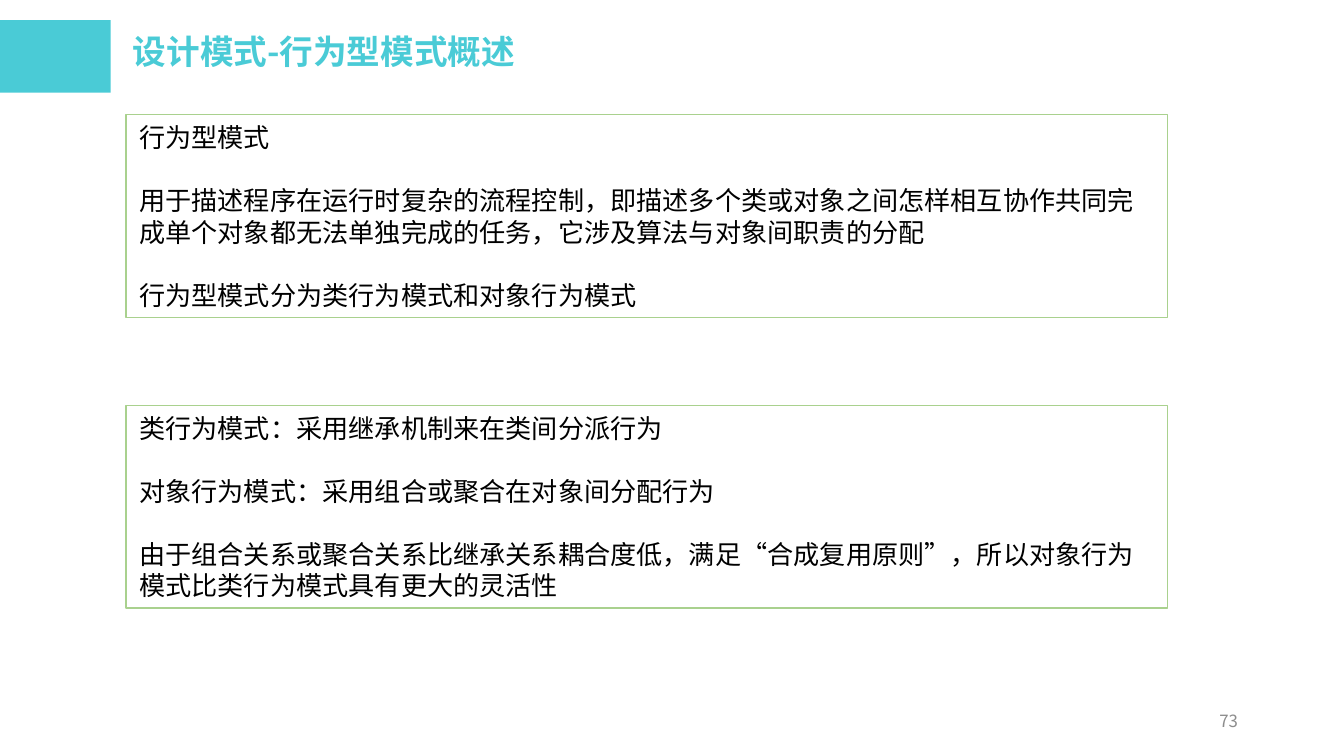
from typing import NamedTuple

from lxml import etree
from pptx import Presentation
from pptx.dml.color import RGBColor
from pptx.enum import lang, shapes, text
from pptx.oxml import ns
from pptx.util import Pt

FONT = "Noto Sans CJK SC"
COLORS = {"accent": "4ACBD6", "border": "A9D18E", "body": "000000", "number": "8C8C8C"}
BODY_LINE = 16.9


class Panel(NamedTuple):
    top: float
    paragraphs: tuple[str, ...]


PANELS = (
    Panel(61.4, (
        "行为型模式",
        "用于描述程序在运行时复杂的流程控制，即描述多个类或对象之间怎样相互协作共同完成单个对象都无法单独完成的任务，它涉及算法与对象间职责的分配",
        "行为型模式分为类行为模式和对象行为模式",
    )),
    Panel(217.2, (
        "类行为模式：采用继承机制来在类间分派行为",
        "对象行为模式：采用组合或聚合在对象间分配行为",
        "由于组合关系或聚合关系比继承关系耦合度低，满足“合成复用原则”，所以对象行为模式比类行为模式具有更大的灵活性",
    )),
)


def rgb(name: str) -> RGBColor:
    return RGBColor.from_string(COLORS[name])


def write(shape, *paragraphs: str, size: float, color: str, bold: bool = False,
          align=text.PP_ALIGN.LEFT, anchor=text.MSO_ANCHOR.TOP,
          line_spacing=None, gap: float = 0) -> None:
    """Fill a shape with paragraphs that are set apart by gap points."""
    frame = shape.text_frame
    frame.word_wrap = True
    frame.auto_size = text.MSO_AUTO_SIZE.NONE
    frame.vertical_anchor = anchor
    for index, line in enumerate(paragraphs):
        paragraph = frame.add_paragraph() if index else frame.paragraphs[0]
        paragraph.alignment = align
        paragraph.line_spacing = line_spacing
        paragraph.space_before = Pt(gap if index else 0)
        run = paragraph.add_run()
        run.text = line
        font = run.font
        font.name, font.size, font.bold = FONT, Pt(size), bold
        font.color.rgb = rgb(color)
        font.language_id = lang.MSO_LANGUAGE_ID.SIMPLIFIED_CHINESE
        east_asian = etree.SubElement(run._r.get_or_add_rPr(), ns.qn("a:ea"))
        east_asian.set("typeface", FONT)


def add_rectangle(slide, left: float, top: float, width: float, height: float):
    rectangle = slide.shapes.add_shape(
        shapes.MSO_SHAPE.RECTANGLE, Pt(left), Pt(top), Pt(width), Pt(height))
    rectangle.shadow.inherit = False
    return rectangle


def add_panel(slide, panel: Panel) -> None:
    box = add_rectangle(slide, 67.5, panel.top, 558, 108.6)
    box.fill.background()
    box.line.color.rgb = rgb("border")
    box.line.width = Pt(0.75)
    write(box, *panel.paragraphs, size=14, color="body",
          line_spacing=Pt(BODY_LINE), gap=BODY_LINE)


def main() -> None:
    deck = Presentation()
    deck.slide_width, deck.slide_height = Pt(720), Pt(405)
    slide = deck.slides.add_slide(deck.slide_layouts.get_by_name("Title Only"))

    title = slide.shapes.title
    title.left, title.top, title.width, title.height = Pt(64), Pt(17), Pt(290), Pt(33)
    write(title, "设计模式-行为型模式概述", size=18, color="accent", bold=True,
          line_spacing=0.8)

    accent = add_rectangle(slide, 0, 10.8, 59.3, 38.9)
    accent.fill.solid()
    accent.fill.fore_color.rgb = rgb("accent")
    accent.line.fill.background()

    page_number = slide.shapes.add_textbox(Pt(508.3), Pt(375.3), Pt(162), Pt(21.6))
    write(page_number, "73", size=9, color="number", align=text.PP_ALIGN.RIGHT,
          anchor=text.MSO_ANCHOR.MIDDLE)

    for panel in PANELS:
        add_panel(slide, panel)

    deck.save("out.pptx")


if __name__ == "__main__":
    main()
